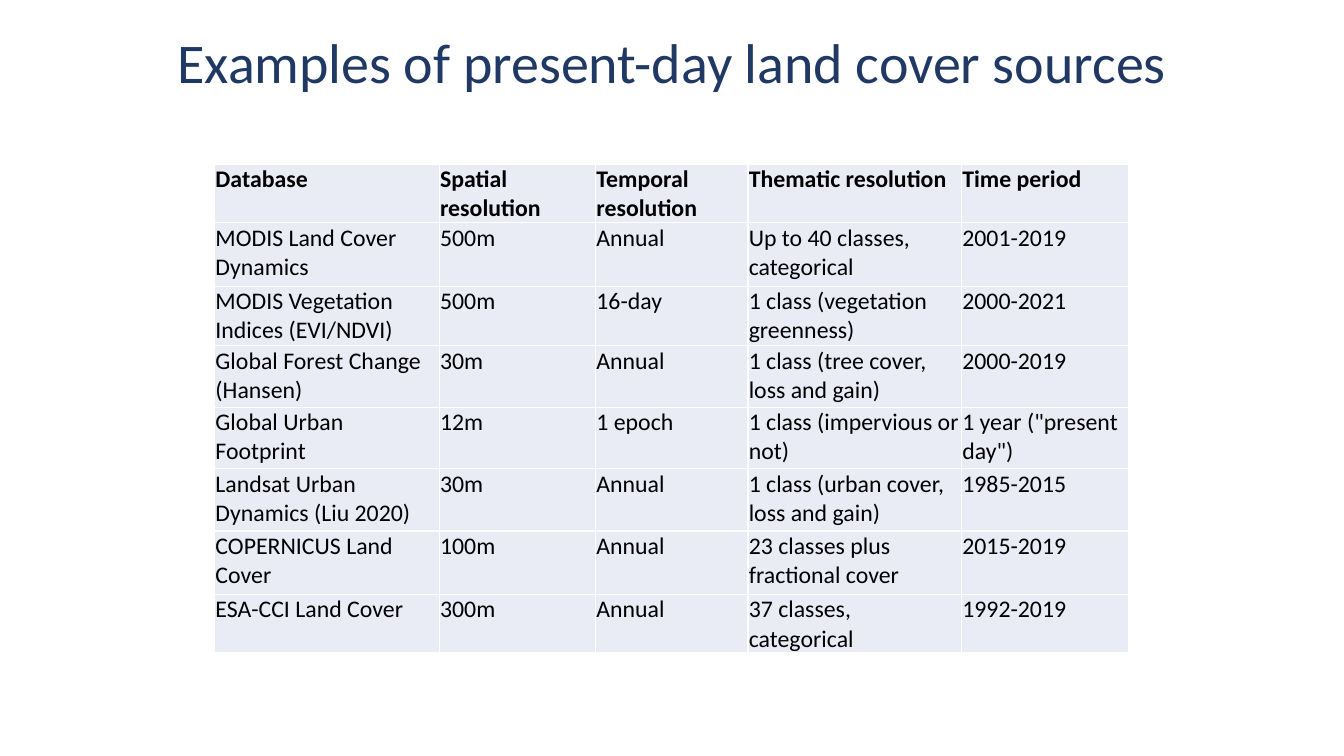
from lxml import etree
from pptx import Presentation
from pptx.dml.color import RGBColor
from pptx.enum.text import MSO_ANCHOR, PP_ALIGN
from pptx.oxml.ns import qn
from pptx.util import Cm, Pt

CENTER = PP_ALIGN.CENTER
BOTTOM = MSO_ANCHOR.BOTTOM
COLORS = {"title": "203864", "text": "000000", "cell": "E9EBF5", "border": "FFFFFF"}

HEADINGS = ("Database", "Spatial resolution", "Temporal resolution",
            "Thematic resolution", "Time period")
SOURCES = (
    ("MODIS Land Cover Dynamics", "500m", "Annual",
     "Up to 40 classes, categorical", "2001-2019"),
    ("MODIS Vegetation Indices (EVI/NDVI)", "500m", "16-day",
     "1 class (vegetation greenness)", "2000-2021"),
    ("Global Forest Change (Hansen)", "30m", "Annual",
     "1 class (tree cover, loss and gain)", "2000-2019"),
    ("Global Urban Footprint", "12m", "1 epoch",
     "1 class (impervious or not)", '1 year ("present day")'),
    ("Landsat Urban Dynamics (Liu 2020)", "30m", "Annual",
     "1 class (urban cover, loss and gain)", "1985-2015"),
    ("COPERNICUS Land Cover", "100m", "Annual",
     "23 classes plus fractional cover", "2015-2019"),
    ("ESA-CCI Land Cover", "300m", "Annual",
     "37 classes, categorical", "1992-2019"),
)
COLUMN_WIDTHS = (5.66, 3.94, 3.84, 5.38, 4.22)
ROW_HEIGHTS = (1.47, 1.6, 1.5, 1.55, 1.55, 1.57, 1.6, 1.24)


class SlideBuilder:
    """Draw styled titles and tables on one slide."""

    def __init__(self, slide, font_name):
        self.slide = slide
        self.font_name = font_name

    def apply(self, target, formats):
        for attribute, value in formats.items():
            setattr(target, attribute, value)

    def add_text(self, paragraph, text, color, **formats):
        run = paragraph.add_run()
        run.text = text
        self.apply(run.font, {"name": self.font_name, **formats})
        run.font.color.rgb = RGBColor.from_string(COLORS[color])

    def title(self, text, left, top, width, height):
        heading = self.slide.shapes.add_textbox(Cm(left), Cm(top), Cm(width), Cm(height))
        frame = heading.text_frame
        self.apply(frame, {"word_wrap": True, "vertical_anchor": BOTTOM})
        paragraph = frame.paragraphs[0]
        self.apply(paragraph, {"alignment": CENTER, "line_spacing": 0.9})
        self.add_text(paragraph, text, "title", size=Pt(40))

    def border(self, cell):
        properties = cell._tc.get_or_add_tcPr()
        for side in ("lnL", "lnR", "lnT", "lnB"):
            line = etree.SubElement(properties, qn(f"a:{side}"), w=str(Pt(1)))
            fill = etree.SubElement(line, qn("a:solidFill"))
            etree.SubElement(fill, qn("a:srgbClr"), val=COLORS["border"])

    def cell(self, cell, text, bold):
        self.border(cell)
        self.apply(cell, {"margin_left": Cm(0.02), "margin_top": Cm(0.02),
                          "margin_right": Cm(0.02), "margin_bottom": 0})
        cell.fill.solid()
        cell.fill.fore_color.rgb = RGBColor.from_string(COLORS["cell"])
        self.add_text(cell.text_frame.paragraphs[0], text, "text", size=Pt(17), bold=bold)

    def table(self, records, left, top, widths, heights):
        table = self.slide.shapes.add_table(
            len(heights), len(widths), Cm(left), Cm(top),
            Cm(sum(widths)), Cm(sum(heights))).table
        self.apply(table, {"horz_banding": False})
        for column, width in zip(table.columns, widths):
            column.width = Cm(width)
        for row, height in zip(table.rows, heights):
            row.height = Cm(height)
        for row_index, record in enumerate(records):
            for column_index, text in enumerate(record):
                self.cell(table.cell(row_index, column_index), text, row_index == 0)


def main():
    presentation = Presentation()
    presentation.slide_width = Cm(33.87)
    presentation.slide_height = Cm(19.05)
    slide = presentation.slides.add_slide(presentation.slide_layouts[6])
    builder = SlideBuilder(slide, "Calibri")
    builder.title("Examples of present-day land cover sources", 0.99, 0.64, 31.88, 1.9)
    builder.table((HEADINGS, *SOURCES), 5.41, 4.14, COLUMN_WIDTHS, ROW_HEIGHTS)
    presentation.save("out.pptx")


if __name__ == "__main__":
    main()
